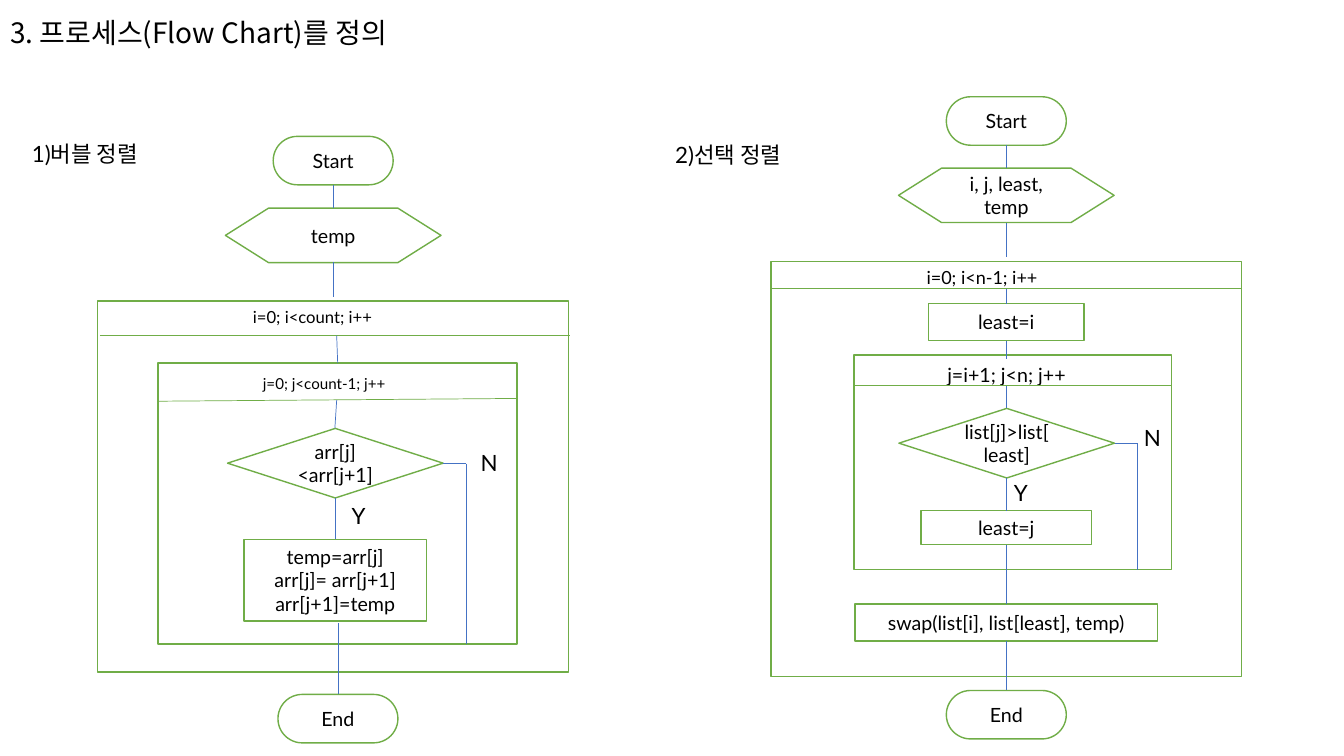
from dataclasses import dataclass

from lxml.etree import SubElement
from pptx import Presentation
from pptx.dml.color import RGBColor as Color
from pptx.enum.shapes import MSO_CONNECTOR as Connector, MSO_SHAPE as Shape
from pptx.enum.text import MSO_ANCHOR as Anchor, PP_ALIGN as Align
from pptx.oxml.ns import qn
from pptx.util import Pt


@dataclass(frozen=True)
class Theme:
    ink: Color = Color.from_string("000000")
    paper: Color = Color.from_string("FFFFFF")
    frame: Color = Color.from_string("70AD47")
    flow: Color = Color.from_string("4472C4")
    latin: str = "Lato"
    korean: str = "Noto Sans CJK KR"
    title_size: float = 20
    label_size: float = 16
    node_size: float = 14
    frame_width: float = 1
    thin_width: float = 0.5


class FlowPage:
    TERMINAL = (85.7, 34.6)
    PREPARATION = (154, 38.9)
    DECISION = (154, 49.7)

    def __init__(self, deck, theme):
        self.theme = theme
        self.page = deck.slides.add_slide(deck.slide_layouts[5])

    def set_text(self, box, text, size, align=Align.LEFT, spacing=None, latin=None):
        frame = box.text_frame
        frame.text = text
        frame.word_wrap = True
        frame.vertical_anchor = Anchor.MIDDLE
        for para in frame.paragraphs:
            para.alignment = align
            para.line_spacing = spacing
            for span in para.runs:
                span.font.size = Pt(size)
                span.font.name = latin or self.theme.latin
                span.font.color.rgb = self.theme.ink
                east_asian = SubElement(span.font._element, qn("a:ea"))
                east_asian.set("typeface", self.theme.korean)

    def title(self, text, left, top, width, height):
        box = self.page.shapes.title
        box.left, box.top, box.width, box.height = map(Pt, (left, top, width, height))
        self.set_text(box, text, self.theme.title_size, spacing=0.9, latin=self.theme.korean)

    def label(self, text, left, top, width, height, size=None, spacing=0.9):
        box = self.page.shapes.add_textbox(*map(Pt, (left, top, width, height)))
        self.set_text(box, text, size or self.theme.label_size, spacing=spacing)

    def outline(self, kind, left, top, width, height):
        box = self.page.shapes.add_shape(kind, *map(Pt, (left, top, width, height)))
        box.shadow.inherit = False
        box.fill.solid()
        box.fill.fore_color.rgb = self.theme.paper
        box.line.color.rgb = self.theme.frame
        box.line.width = Pt(self.theme.frame_width)
        return box

    def node(self, kind, text, center, top, size):
        """Draw a flow step centred on a vertical axis."""
        width, height = size
        box = self.outline(kind, center - width / 2, top, width, height)
        self.set_text(box, text, self.theme.node_size, Align.CENTER)
        return box

    def terminal(self, text, center, top):
        box = self.node(Shape.ROUNDED_RECTANGLE, text, center, top, self.TERMINAL)
        box.adjustments[0] = 0.5

    def preparation(self, text, center, top):
        self.node(Shape.FLOWCHART_PREPARATION, text, center, top, self.PREPARATION)

    def decision(self, text, center, top):
        self.node(Shape.FLOWCHART_DECISION, text, center, top, self.DECISION)

    def process(self, text, center, top, width, height):
        self.node(Shape.RECTANGLE, text, center, top, (width, height))

    def line(self, x1, y1, x2, y2, color=None):
        link = self.page.shapes.add_connector(Connector.STRAIGHT, *map(Pt, (x1, y1, x2, y2)))
        link.line.color.rgb = color or self.theme.flow
        link.line.width = Pt(self.theme.thin_width)
        SubElement(link._element.spPr, qn("a:effectLst"))

    def loop(self, frame, header, header_at, rule, size, spacing=0.9):
        """Draw a loop frame with its header text and the rule below it."""
        self.outline(Shape.RECTANGLE, *frame)
        self.label(header, *header_at, 116, 24.5, size, spacing)
        self.line(*rule, self.theme.frame)

    def branches(self, yes_at, no_at, start, turn, bottom):
        """Label both exits of a decision and draw the bypass for N."""
        x, y = start
        self.line(x, y, turn, y)
        self.line(turn, y, turn, bottom)
        for text, at in (("Y", yes_at), ("N", no_at)):
            self.label(text, *at, 33.8, 33.1)


def draw_bubble_sort(page):
    axis, decision_axis, end_axis = 238, 239.5, 241.4
    page.label("1)버블 정렬", 15.8, 85, 110.9, 51.1)
    page.terminal("Start", axis, 97.4)
    page.preparation("temp", axis, 148.7)
    page.loop((69.8, 215.1, 336.4, 265), "i=0; i<count; i++", (173.6, 215.3),
              (71.3, 239.2, 407.5, 239.2), 11.9, 0.8)
    page.loop((113, 259.2, 256.4, 200.9), "j=0; j<count-1; j++", (180.7, 263.5),
              (113, 286.6, 369.4, 284.6), 10.8, 0.7)
    page.decision("arr[j] <arr[j+1]", decision_axis, 306)
    page.process("temp=arr[j]\narr[j]= arr[j+1]\narr[j+1]=temp",
                 decision_axis, 385.2, 130.5, 58.3)
    page.terminal("End", end_axis, 496)
    page.branches((244.1, 352.8), (336.2, 315.4), (316.4, 331.2), 332.8, 460.1)
    for link in ((axis, 132.2, axis, 148.7), (axis, 187.4, axis, 212),
                 (240.5, 239.8, 241.2, 259.2), (240.5, 285.8, 239.2, 306),
                 (239.2, 355.7, 239.2, 385.2), (end_axis, 445, end_axis, 496)):
        page.line(*link)


def draw_selection_sort(page):
    axis = 718.8
    page.label("2)선택 정렬", 475.2, 86.2, 110.9, 51.1)
    page.terminal("Start", axis, 69.1)
    page.preparation("i, j, least, temp", axis, 120.1)
    page.loop((550.6, 186.7, 336.4, 296.5), "i=0; i<n-1; i++", (654.8, 186.5),
              (550.6, 206.1, 887, 206.1), 12.9)
    page.process("least=i", axis, 216.8, 110.9, 26.5)
    page.loop((610, 253.6, 227, 153.2), "j=i+1; j<n; j++", (669.6, 256.3),
              (610, 275.2, 837.2, 275.2), 14)
    page.decision("list[j]>list[least]", axis + 0.3, 291.7)
    page.process("least=j", axis, 364.8, 121.7, 24.3)
    page.process("swap(list[i], list[least], temp)", axis, 431.5, 216, 26.4)
    page.terminal("End", axis, 493.2)
    page.branches((717.1, 336.2), (810, 297.4), (796.3, 316.6), 812.7, 406.8)
    for top, bottom in ((103.7, 120.1), (159, 183.6), (206.1, 216.8), (243.3, 256.3),
                        (275.8, 291.7), (341.4, 364.8), (389.1, 431.5), (457.9, 493.2)):
        page.line(axis, top, axis, bottom)


def main():
    deck = Presentation()
    deck.slide_width, deck.slide_height = Pt(960), Pt(540)
    page = FlowPage(deck, Theme())
    page.title("3. 프로세스(Flow Chart)를 정의", 0, -0.7, 303.1, 51.1)
    draw_selection_sort(page)
    draw_bubble_sort(page)
    deck.save("out.pptx")


if __name__ == "__main__":
    main()
